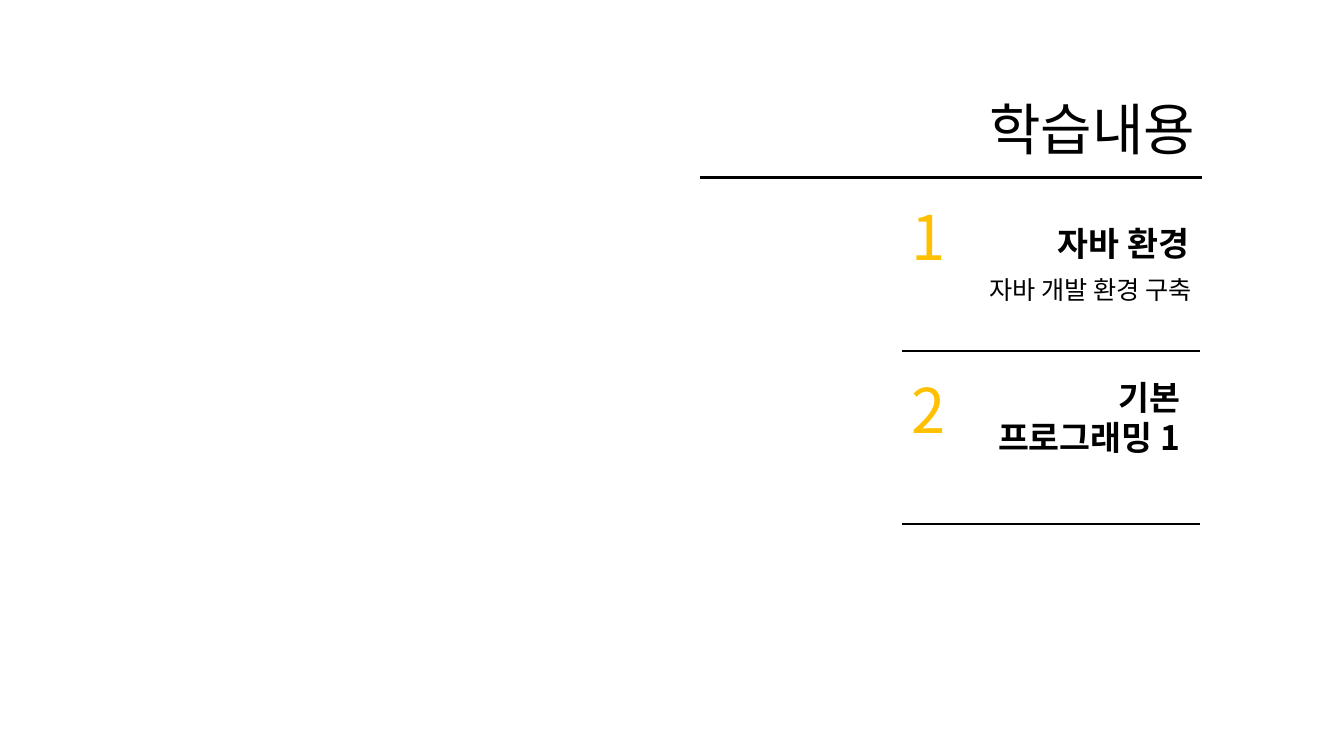
from lxml import etree
from pptx import Presentation
from pptx.dml.color import RGBColor
from pptx.enum.shapes import MSO_CONNECTOR
from pptx.enum.text import MSO_ANCHOR, MSO_AUTO_SIZE, PP_ALIGN
from pptx.oxml.ns import qn
from pptx.util import Cm, Pt

STRAIGHT = MSO_CONNECTOR.STRAIGHT
TOP = MSO_ANCHOR.TOP
GROW = MSO_AUTO_SIZE.SHAPE_TO_FIT_TEXT
LEFT, RIGHT = PP_ALIGN.LEFT, PP_ALIGN.RIGHT

FONT = "Noto Sans CJK KR"
COLORS = {"ink": "000000", "number": "FFC000"}
FORMATS = {
    "title": {"size": Pt(40), "bold": False},
    "number": {"size": Pt(44), "bold": False},
    "heading": {"size": Pt(24), "bold": True},
    "detail": {"size": Pt(18), "bold": False},
}
FRAME = {"word_wrap": True, "auto_size": GROW, "vertical_anchor": TOP}
MARGINS = {
    "margin_left": Cm(0.25),
    "margin_right": Cm(0.25),
    "margin_top": Cm(0.13),
    "margin_bottom": Cm(0.13),
}

SECTION_PITCH = 4.37
SECTIONS = [
    {
        "number": "1",
        "heading": "자바 환경",
        "heading_box": (2.18, 1.02, 5.31, 1.27),
        "detail": "자바 개발 환경 구축",
    },
    {
        "number": "2",
        "heading": "기본 프로그래밍 1",
        "heading_box": (1.7, 0.53, 5.56, 2.31),
    },
]


def set_attributes(target, values):
    for name, value in values.items():
        setattr(target, name, value)


def write_text(shape, text, style, alignment=RIGHT, color="ink"):
    frame = shape.text_frame
    set_attributes(frame, FRAME | MARGINS)
    paragraph = frame.paragraphs[0]
    paragraph.alignment = alignment
    run = paragraph.add_run()
    run.text = text
    set_attributes(run.font, FORMATS[style] | {"name": FONT})
    run.font.color.rgb = RGBColor.from_string(COLORS[color])
    latin = run.font._element.find(qn("a:latin"))
    east_asian = etree.Element(qn("a:ea"), typeface=FONT)
    latin.addnext(east_asian)


def add_text(slide, box, text, style, **options):
    shape = slide.shapes.add_textbox(*map(Cm, box))
    write_text(shape, text, style, **options)


def add_rule(slide, left, top, width):
    rule = slide.shapes.add_connector(
        STRAIGHT, Cm(left), Cm(top), Cm(left + width), Cm(top)
    )
    rule.line.width = Pt(1.75)
    rule.line.color.rgb = RGBColor.from_string(COLORS["ink"])
    etree.SubElement(rule._element.spPr, qn("a:effectLst"))


def add_header(slide, left, top, width, height):
    title = slide.shapes.title
    position = {
        "left": Cm(left + 6.32),
        "top": Cm(top),
        "width": Cm(6.4),
        "height": Cm(1.96),
    }
    set_attributes(title, position)
    write_text(title, "학습내용", "title")
    add_rule(slide, left, top + height, width)


def add_section(slide, left, top, width, height, section):
    add_text(
        slide, (left, top + 0.41, 1.47, 2.13), section["number"], "number",
        alignment=LEFT, color="number",
    )
    x, y, heading_width, heading_height = section["heading_box"]
    heading_box = (left + x, top + y, heading_width, heading_height)
    add_text(slide, heading_box, section["heading"], "heading")
    if "detail" in section:
        detail_box = (left + 0.74, top + 2.31, 6.81, 1.02)
        add_text(slide, detail_box, section["detail"], "detail")
    add_rule(slide, left, top + height, width)


def main():
    presentation = Presentation()
    presentation.slide_width = Cm(33.87)
    presentation.slide_height = Cm(19.05)
    slide = presentation.slides.add_slide(presentation.slide_layouts[5])
    add_header(slide, 17.65, 2.26, 12.65, 2.21)
    for index, section in enumerate(SECTIONS):
        top = 4.47 + index * SECTION_PITCH
        add_section(slide, 22.73, top, 7.52, SECTION_PITCH, section)
    presentation.save("out.pptx")


if __name__ == "__main__":
    main()
